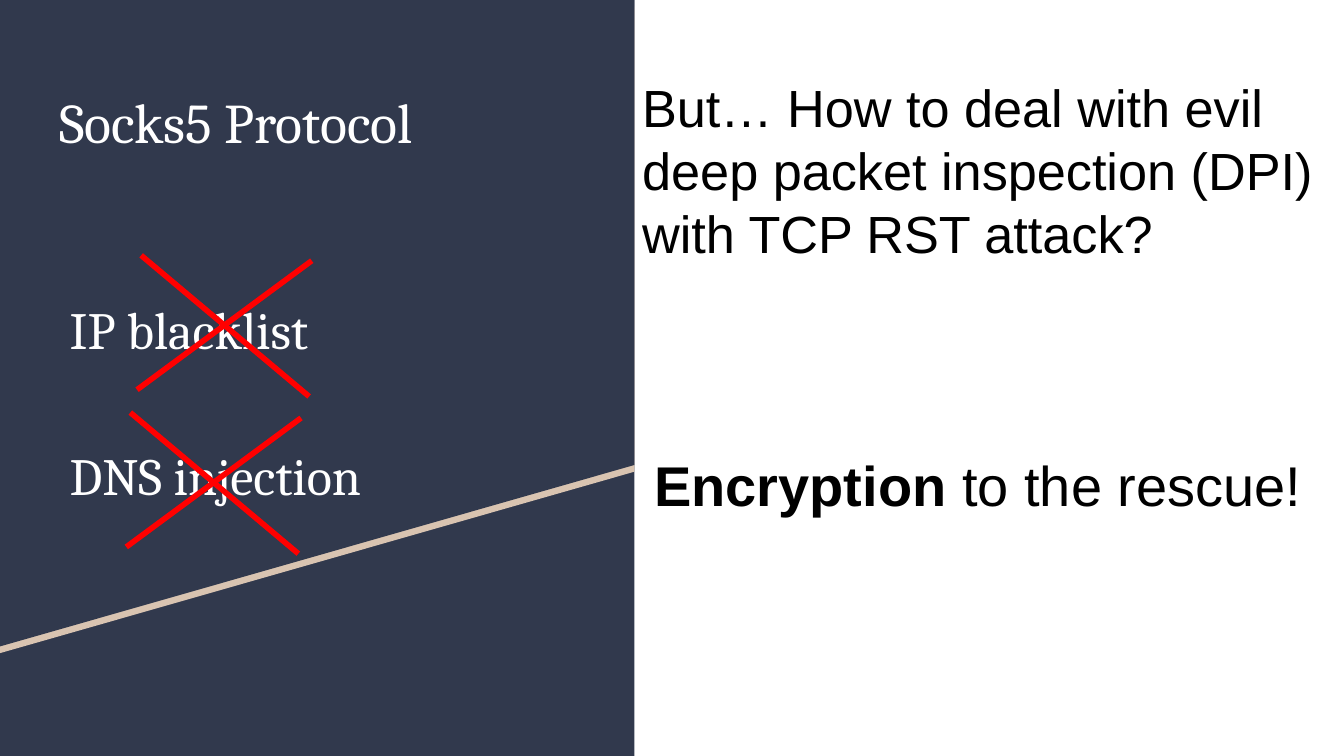
from lxml import etree
from pptx import Presentation
from pptx.dml.color import RGBColor
from pptx.enum.shapes import MSO_CONNECTOR, MSO_SHAPE
from pptx.enum.text import MSO_ANCHOR, MSO_AUTO_SIZE, PP_ALIGN
from pptx.oxml.ns import qn
from pptx.util import Inches, Pt

NAVY = RGBColor(0x31, 0x39, 0x4D)
SAND = RGBColor(0xD9, 0xC4, 0xB1)
WHITE = RGBColor(0xFF, 0xFF, 0xFF)
BLACK = RGBColor(0x00, 0x00, 0x00)
RED = RGBColor(0xFF, 0x00, 0x00)

SLIDE_WIDTH = 10
SLIDE_HEIGHT = SLIDE_WIDTH * 9 / 16
PANEL_WIDTH = 4.72


def write_text(shape, text, box, size, font, color, bold_start=""):
    """Place a text shape and fill it, with an optional bold opening."""
    shape.left, shape.top, shape.width, shape.height = map(Inches, box)
    frame = shape.text_frame
    frame.auto_size = MSO_AUTO_SIZE.NONE
    frame.word_wrap = True
    frame.vertical_anchor = MSO_ANCHOR.TOP
    frame.margin_left = frame.margin_right = Inches(0.1)
    frame.margin_top = frame.margin_bottom = Inches(0.1)
    paragraph = frame.paragraphs[0]
    paragraph.alignment = PP_ALIGN.LEFT
    for part, bold in ((bold_start, True), (text, False)):
        if part:
            run = paragraph.add_run()
            run.text = part
            run.font.size = Pt(size)
            run.font.name = font
            run.font.bold = bold
            run.font.color.rgb = color


def add_text(slide, text, box, **text_format):
    text_box = slide.shapes.add_textbox(*map(Inches, box))
    write_text(text_box, text, box, **text_format)


def paint(shape, color):
    shape.shadow.inherit = False
    shape.fill.solid()
    shape.fill.fore_color.rgb = color
    shape.line.fill.background()


def add_slanted_band(slide, left, top, width, right_height, left_height, color):
    """Block whose lower edge rises from left to right."""
    builder = slide.shapes.build_freeform(Inches(left), Inches(top))
    corners = [(left + width, top), (left + width, top + right_height),
               (left, top + left_height)]
    builder.add_line_segments([(Inches(x), Inches(y)) for x, y in corners])
    paint(builder.convert_to_shape(), color)


def add_cross(slide, left, top, width, height):
    """Two red strokes striking out a threat."""
    strokes = [(0.03, 0, width - 0.02, height),
               (0, height - 0.05, width, 0.04)]
    for x1, y1, x2, y2 in strokes:
        line = slide.shapes.add_connector(
            MSO_CONNECTOR.STRAIGHT, Inches(left + x1), Inches(top + y1),
            Inches(left + x2), Inches(top + y2))
        line.line.color.rgb = RED
        line.line.width = Pt(3)
        etree.SubElement(line.element.spPr, qn("a:effectLst"))


def add_left_panel(slide, left, top, width, height):
    # Navy background with a sand stripe
    panel = slide.shapes.add_shape(
        MSO_SHAPE.RECTANGLE, *map(Inches, (left, top, width, height)))
    paint(panel, NAVY)
    for offset, color in ((0.05, SAND), (0, NAVY)):
        add_slanted_band(slide, left, top + offset, width, 3.46, 4.81, color)

    # Title, brought in front of the background
    title = slide.shapes.title
    title.element.getparent().append(title.element)
    write_text(title, "Socks5 Protocol", (left + 0.34, top + 0.55, 4.05, 1.3),
               size=30, font="Cambria", color=WHITE)

    # Solved threats, each crossed out
    threats = [("IP blacklist", 2.11, 1.02, 1.9),
               ("DNS injection", 3.2, 0.94, 3.07)]
    for text, text_top, _, _ in threats:
        add_text(slide, text, (left + 0.42, top + text_top, 3.08, 0.82),
                 size=28, font="Cambria", color=WHITE)
    for _, _, cross_left, cross_top in threats:
        add_cross(slide, left + cross_left, top + cross_top, 1.3, 1.05)


def add_right_side(slide, left, top):
    # Question
    add_text(slide, "But… How to deal with evil deep packet inspection (DPI) "
             "with TCP RST attack?", (left - 0.04, top + 0.46, 5.5, 1.65),
             size=28, font="Arial", color=BLACK)
    # Answer
    add_text(slide, " to the rescue!", (left + 0.05, top + 3.25, 5.17, 0.82),
             size=30, font="Arial", color=BLACK, bold_start="Encryption")


def main():
    presentation = Presentation()
    presentation.slide_width = Inches(SLIDE_WIDTH)
    presentation.slide_height = Inches(SLIDE_HEIGHT)
    slide = presentation.slides.add_slide(presentation.slide_layouts[5])
    add_left_panel(slide, 0, 0, PANEL_WIDTH, SLIDE_HEIGHT)
    add_right_side(slide, PANEL_WIDTH, 0)
    presentation.save("out.pptx")


if __name__ == "__main__":
    main()
